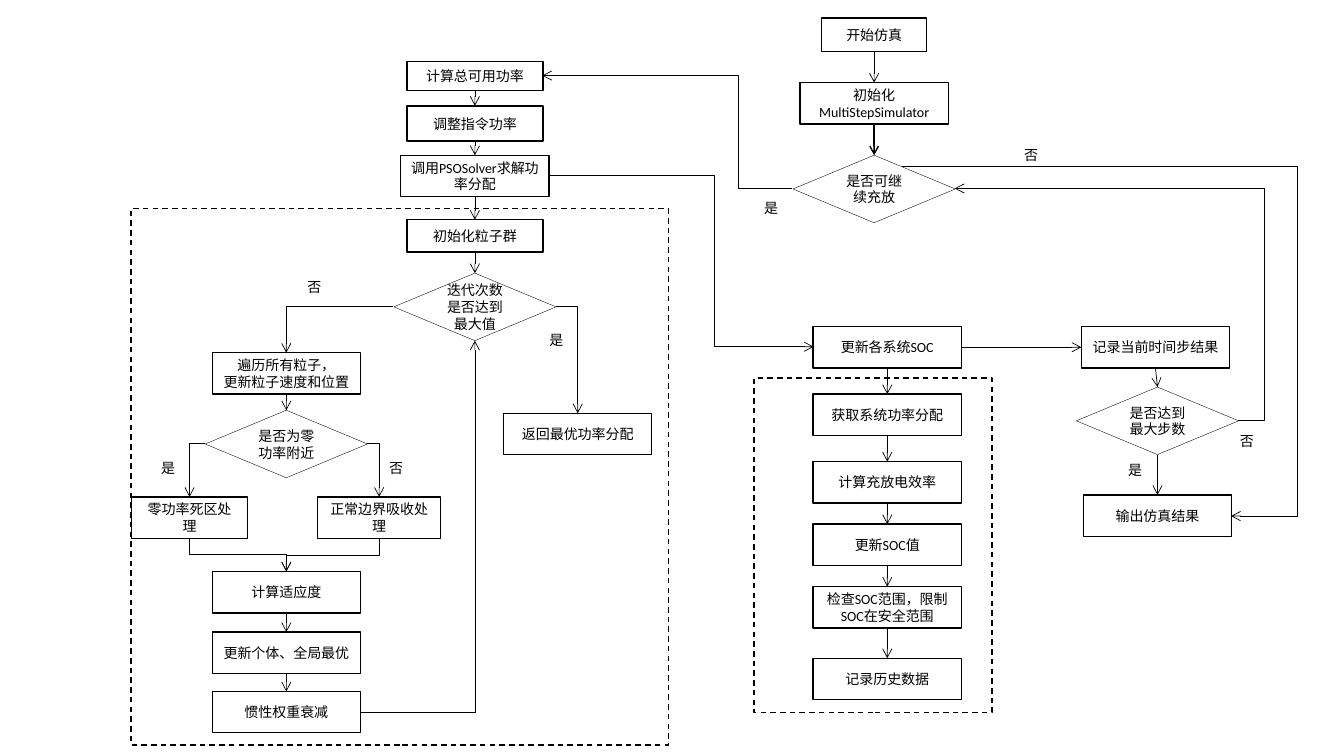
from dataclasses import dataclass
from itertools import pairwise
from typing import Optional

from lxml import etree
from pptx import Presentation
from pptx.dml.color import RGBColor
from pptx.enum.dml import MSO_LINE
from pptx.enum.shapes import MSO_CONNECTOR, MSO_SHAPE
from pptx.enum.text import MSO_ANCHOR, MSO_AUTO_SIZE, PP_ALIGN
from pptx.oxml.ns import qn
from pptx.util import Inches, Pt

PROCESS = MSO_SHAPE.FLOWCHART_PROCESS
DECISION = MSO_SHAPE.FLOWCHART_DECISION
RECTANGLE = MSO_SHAPE.RECTANGLE
STRAIGHT, ELBOW = MSO_CONNECTOR.STRAIGHT, MSO_CONNECTOR.ELBOW
CENTER, MIDDLE = PP_ALIGN.CENTER, MSO_ANCHOR.MIDDLE
GROW, DASH = MSO_AUTO_SIZE.SHAPE_TO_FIT_TEXT, MSO_LINE.DASH
TOP, LEFT, BOTTOM, RIGHT = range(4)

COLORS = {"ink": "000000"}
FONT, FONT_SIZE = "Calibri", 10
THIN, NORMAL, THICK = 0.25, 0.5, 1

# Centre lines of the columns
PARTICLE_X, POWER_X, START_X, SOC_X, RESULT_X = 2.84, 4.71, 8.67, 8.8, 11.48


@dataclass
class Step:
    key: str
    wording: str
    center: float
    top: float
    width: float = 1.47
    height: float = 0.41


@dataclass
class Decision(Step):
    width: float = 1.61
    height: float = 0.67


@dataclass
class Bend:
    """A path that leaves sideways; without turn_x it has a single corner."""
    start: tuple[float, float]
    end: tuple[float, float]
    turn_x: Optional[float] = None


STEPS = [
    Step("start", "开始仿真", START_X, 0.18, 1.04, 0.33),
    Step("simulator", "初始化MultiStepSimulator", START_X, 0.82),
    Decision("can_continue", "是否可继续充放", START_X, 1.54),
    Step("available", "计算总可用功率", POWER_X, 0.61, 1.35, 0.29),
    Step("adjust", "调整指令功率", POWER_X, 1.05, 1.35, 0.35),
    Step("solve", "调用PSOSolver求解功率分配", POWER_X, 1.54),
    Step("swarm", "初始化粒子群", POWER_X, 2.18, 1.35, 0.32),
    Decision("iterations", "迭代次数是否达到最大值", POWER_X, 2.71),
    Step("optimum", "返回最优功率分配", 5.73, 4.1),
    Step("particles", "遍历所有粒子，\n更新粒子速度和位置", PARTICLE_X, 3.5),
    Decision("near_zero", "是否为零功率附近", PARTICLE_X, 4.07),
    Step("dead_zone", "零功率死区处理", 1.88, 4.93, 1.15),
    Step("absorb", "正常边界吸收处理", 3.76, 4.93, 1.22),
    Step("fitness", "计算适应度", PARTICLE_X, 5.67),
    Step("best", "更新个体、全局最优", PARTICLE_X, 6.27),
    Step("inertia", "惯性权重衰减", PARTICLE_X, 6.86),
    Step("update_soc", "更新各系统SOC", SOC_X, 3.24),
    Step("get_power", "获取系统功率分配", SOC_X, 3.91),
    Step("efficiency", "计算充放电效率", SOC_X, 4.58),
    Step("soc_value", "更新SOC值", SOC_X, 5.2),
    Step("soc_range", "检查SOC范围，限制SOC在安全范围", SOC_X, 5.82),
    Step("history", "记录历史数据", SOC_X, 6.53),
    Step("record", "记录当前时间步结果", 11.46, 3.24),
    Decision("max_steps", "是否达到最大步数", RESULT_X, 3.84),
    Step("output", "输出仿真结果", RESULT_X, 4.91),
]

DOWNWARD_CHAINS = [
    ["start", "simulator"],
    ["available", "adjust", "solve", "swarm", "iterations"],
    ["particles", "near_zero"],
    ["fitness", "best", "inertia"],
    ["update_soc", "get_power", "efficiency", "soc_value", "soc_range", "history"],
    ["record", "max_steps", "output"],
]

BENDS = [
    Bend((7.86, 1.87), (5.38, 0.75), 7.32),
    Bend((3.9, 3.04), (PARTICLE_X, 3.5)),
    Bend((2.03, 4.4), (1.88, 4.93)),
    Bend((3.64, 4.4), (3.76, 4.93)),
    Bend((3.57, 7.07), (POWER_X, 3.38)),
    Bend((5.51, 3.04), (5.73, 4.1)),
    Bend((5.44, 1.74), (8.07, 3.44), 7.08),
    Bend((12.28, 4.17), (9.47, 1.87), 12.54),
    Bend((8.95, 1.65), (12.21, 5.12), 12.87),
]

MERGING_BRANCHES = [1.88, 3.76]
STAGE_FRAMES = [(1.3, 2.07, 5.33, 5.32), (7.48, 3.75, 2.36, 3.32)]
ANSWERS = {
    "是": [(11.09, 4.53), (1.5, 4.51), (5.35, 3.24), (7.48, 1.93)],
    "否": [(3.76, 4.51), (2.95, 2.71), (10.06, 1.4), (12.2, 4.24)],
}


def ink() -> RGBColor:
    return RGBColor.from_string(COLORS["ink"])


def write(shape, wording: str) -> None:
    frame = shape.text_frame
    frame.word_wrap = True
    frame.text = wording
    for paragraph in frame.paragraphs:
        for run in paragraph.runs:
            run.font.name = FONT
            run.font.size = Pt(FONT_SIZE)
            run.font.color.rgb = ink()


def add_outline(slide, preset, box: tuple[float, ...], weight: float):
    shape = slide.shapes.add_shape(preset, *map(Inches, box))
    shape.shadow.inherit = False
    shape.fill.background()
    shape.line.color.rgb = ink()
    shape.line.width = Pt(weight)
    return shape


def add_step(slide, step: Step):
    is_decision = isinstance(step, Decision)
    box = (step.center - step.width / 2, step.top, step.width, step.height)
    shape = add_outline(slide, DECISION if is_decision else PROCESS, box,
                        THIN if is_decision else THICK)
    write(shape, step.wording)
    shape.text_frame.vertical_anchor = MIDDLE
    for paragraph in shape.text_frame.paragraphs:
        paragraph.alignment = CENTER
    return shape


def add_arrow(slide, kind, start: tuple[float, float], end: tuple[float, float],
              weight: float = NORMAL):
    arrow = slide.shapes.add_connector(kind, *map(Inches, (*start, *end)))
    arrow.line.color.rgb = ink()
    arrow.line.width = Pt(weight)
    properties = arrow._element.spPr
    etree.SubElement(properties.find(qn("a:ln")), qn("a:tailEnd"), type="arrow")
    etree.SubElement(properties, qn("a:effectLst"))
    return arrow


def link(slide, source, source_side: int, target, target_side: int,
         weight: float = NORMAL) -> None:
    arrow = add_arrow(slide, STRAIGHT, (0, 0), (1, 1), weight)
    arrow.begin_connect(source, source_side)
    arrow.end_connect(target, target_side)


def add_bend(slide, bend: Bend) -> None:
    arrow = add_arrow(slide, ELBOW, bend.start, bend.end)
    geometry = arrow._element.spPr.find(qn("a:prstGeom"))
    if bend.turn_x is None:
        geometry.set("prst", "bentConnector2")
        return
    share = (bend.turn_x - bend.start[0]) / (bend.end[0] - bend.start[0])
    etree.SubElement(geometry.find(qn("a:avLst")), qn("a:gd"),
                     name="adj1", fmla=f"val {round(share * 100000)}")


def add_merge(slide, start: tuple[float, float], end: tuple[float, float]) -> None:
    """Draw a down-across-down elbow as a sideways one turned by 90 degrees."""
    middle_x, middle_y = (start[0] + end[0]) / 2, (start[1] + end[1]) / 2
    half_drop, half_shift = (end[1] - start[1]) / 2, (start[0] - end[0]) / 2
    arrow = add_arrow(slide, ELBOW, (middle_x - half_drop, middle_y - half_shift),
                      (middle_x + half_drop, middle_y + half_shift))
    arrow._element.spPr.find(qn("a:xfrm")).set("rot", str(90 * 60000))


def add_answer(slide, wording: str, left: float, top: float) -> None:
    answer = slide.shapes.add_textbox(*map(Inches, (left, top, 0.38, 0.27)))
    write(answer, wording)
    answer.text_frame.auto_size = GROW


def main() -> None:
    deck = Presentation()
    deck.slide_width, deck.slide_height = Inches(13.33), Inches(7.5)
    slide = deck.slides.add_slide(deck.slide_layouts[6])

    steps = {step.key: add_step(slide, step) for step in STEPS}
    for chain in DOWNWARD_CHAINS:
        for source, target in pairwise(chain):
            link(slide, steps[source], BOTTOM, steps[target], TOP)
    link(slide, steps["simulator"], BOTTOM, steps["can_continue"], TOP, THICK)
    link(slide, steps["update_soc"], RIGHT, steps["record"], LEFT)
    for bend in BENDS:
        add_bend(slide, bend)
    for branch_x in MERGING_BRANCHES:
        add_merge(slide, (branch_x, 5.34), (PARTICLE_X, 5.67))
    for box in STAGE_FRAMES:
        add_outline(slide, RECTANGLE, box, THICK).line.dash_style = DASH
    for wording, places in ANSWERS.items():
        for left, top in places:
            add_answer(slide, wording, left, top)

    deck.save("out.pptx")


if __name__ == "__main__":
    main()
